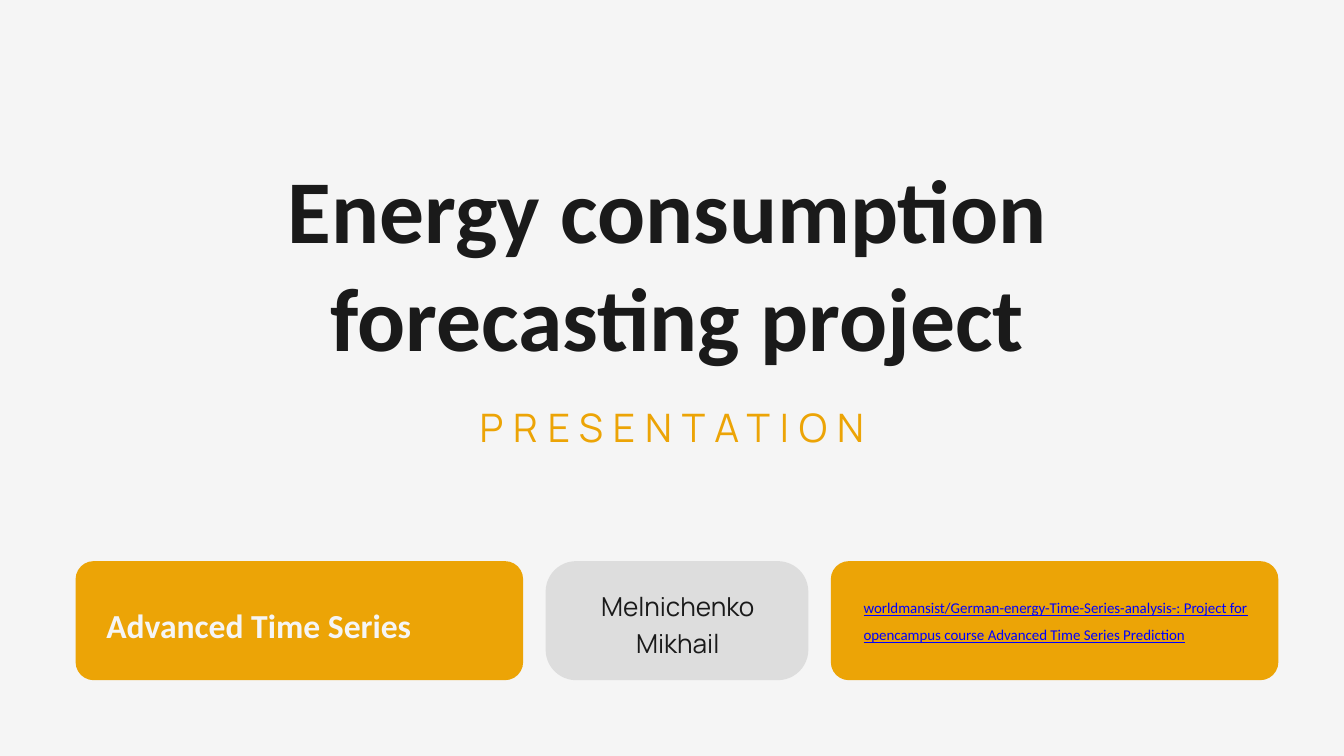
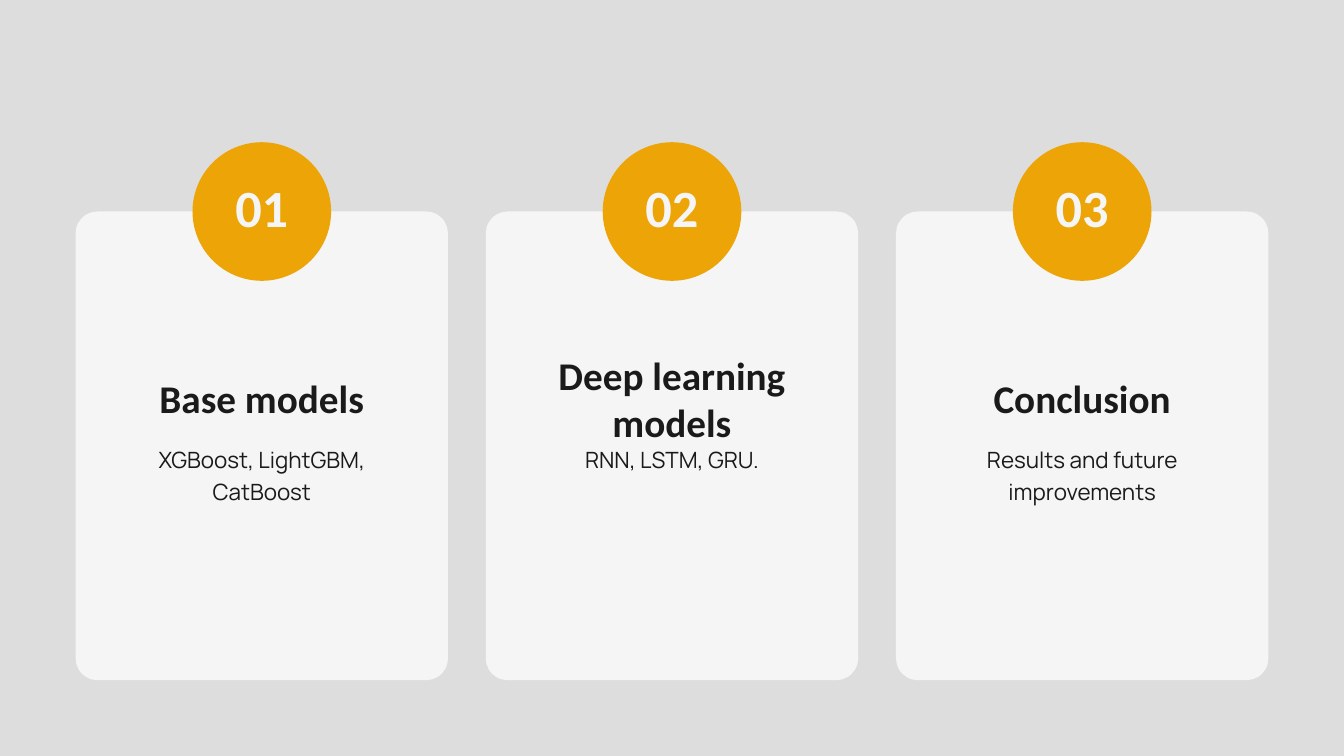
from pptx import Presentation
from pptx.dml.color import RGBColor
from pptx.enum import shapes, text
from pptx.util import Pt

# Shared palette and fonts
AMBER, INK, PAPER, GREY, LINK = "ECA406", "1A1A1A", "F5F5F5", "DDDDDD", "0000FF"
HEAD, BODY = "Calibri", "Manrope"
LEFT, BOTTOM = 81, 728.8
CENTER, START = text.PP_ALIGN.CENTER, text.PP_ALIGN.LEFT


def color(value):
    return RGBColor.from_string(value)


def new_slide(prs, layout, background):
    s = prs.slides.add_slide(prs.slide_layouts[layout])
    s.background.fill.solid()
    s.background.fill.fore_color.rgb = color(background)
    return s


def panel(s, kind, box, fill, radius=None):
    sp = s.shapes.add_shape(kind, *map(Pt, box))
    sp.shadow.inherit = False
    sp.fill.solid()
    sp.fill.fore_color.rgb = color(fill)
    sp.line.fill.background()
    if radius:
        sp.adjustments[0] = radius / min(box[2:])


def rounded(s, box, fill, radius):
    panel(s, shapes.MSO_SHAPE.ROUNDED_RECTANGLE, box, fill, radius)


def write(sp, box, lines, size, font=HEAD, ink=INK, bold=False,
          align=CENTER, spacing=1.0):
    """Place a text shape and fill it; spacing is a factor or a Pt length."""
    sp.left, sp.top, sp.width, sp.height = map(Pt, box)
    tf = sp.text_frame
    tf.word_wrap = True
    tf.auto_size = text.MSO_AUTO_SIZE.NONE
    tf.vertical_anchor = text.MSO_ANCHOR.TOP
    tf.margin_left = tf.margin_top = tf.margin_right = tf.margin_bottom = 0
    runs = []
    for i, line in enumerate(lines):
        p = tf.add_paragraph() if i else tf.paragraphs[0]
        p.alignment = align
        p.line_spacing = spacing
        p.space_before = Pt(0)
        r = p.add_run()
        r.text = line
        r.font.name, r.font.size, r.font.bold = font, Pt(size), bold
        r.font.color.rgb = color(ink)
        runs.append(r)
    return runs


def label(s, box, line, size, **style):
    sp = s.shapes.add_textbox(0, 0, 0, 0)
    return write(sp, box, [line], size, **style)[0]


def footer_bar(s, x, y, h):
    """Three rounded panels: course, author, repository."""
    wide, narrow, gap = 479.5, 281.5, 24.1
    author_x = x + wide + gap
    repo_x = author_x + narrow + gap
    rounded(s, (author_x, y, narrow, h), GREY, 32.7)
    rounded(s, (x, y, wide, h), AMBER, 19.4)
    rounded(s, (repo_x, y, wide, h), AMBER, 19.4)

    label(s, (author_x + 21.6, y + 26, 240, 77), "Melnichenko Mikhail", 28,
          font=BODY, spacing=Pt(39.2))
    label(s, (x + 33, y + 31, 440, 56), "Advanced Time Series", 36,
          ink=PAPER, bold=True, align=START, spacing=Pt(58.8))
    r = label(s, (repo_x + 35, y + 31, 444, 56),
              "worldmansist/German-energy-Time-Series-analysis-: "
              "Project for opencampus course Advanced Time Series Prediction",
              16, ink=LINK, align=START, spacing=1.5)
    r.font.underline = True


def cover_slide(prs):
    s = new_slide(prs, 0, PAPER)
    # Title and subtitle
    write(s.shapes.title, (5.8, 165, 1440, 232.6),
          ["Energy consumption ", "forecasting project"], 96, bold=True)
    r, = write(s.placeholders[1], (LEFT, 424, 1278, 59), ["PRESENTATION"], 42,
               font=BODY, ink=AMBER, spacing=Pt(58.8))
    r.font._element.set("spc", "1060")
    # Footer
    height = 127.6
    footer_bar(s, LEFT, BOTTOM - height, height)


def topic_card(s, x, y, w, h, number, heading, heading_lines, detail):
    """Card with a numbered disc centred on its top edge."""
    def centred(width, top, height):
        return x + (w - width) / 2, y + top, width, height

    disc, line = 148.5, 50.4
    rounded(s, (x, y, w, h), PAPER, 23.4)
    panel(s, shapes.MSO_SHAPE.OVAL, centred(disc, -disc / 2, disc), AMBER)
    label(s, centred(350.6, 200 - heading_lines * line / 2, heading_lines * line),
          heading, 42, bold=True, spacing=Pt(line))
    label(s, centred(288, 247, 67), detail, 24, font=BODY, spacing=Pt(33.6))
    label(s, centred(121.6, -38.6, 72), f"{number:02}", 56, ink=PAPER,
          bold=True, spacing=Pt(67.2))


def topics_slide(prs):
    s = new_slide(prs, 6, GREY)
    topics = [
        ("Base models", 1, "XGBoost, LightGBM, CatBoost"),
        ("Deep learning models", 2, "RNN, LSTM, GRU."),
        ("Conclusion", 1, "Results and future improvements"),
    ]
    width, gap, top = 399, 40.5, 226.6
    for i, topic in enumerate(topics):
        topic_card(s, LEFT + i * (width + gap), top, width, BOTTOM - top,
                   i + 1, *topic)


def main():
    prs = Presentation()
    prs.slide_width, prs.slide_height = Pt(1440), Pt(810)
    cover_slide(prs)
    topics_slide(prs)
    prs.save("out.pptx")


if __name__ == "__main__":
    main()
